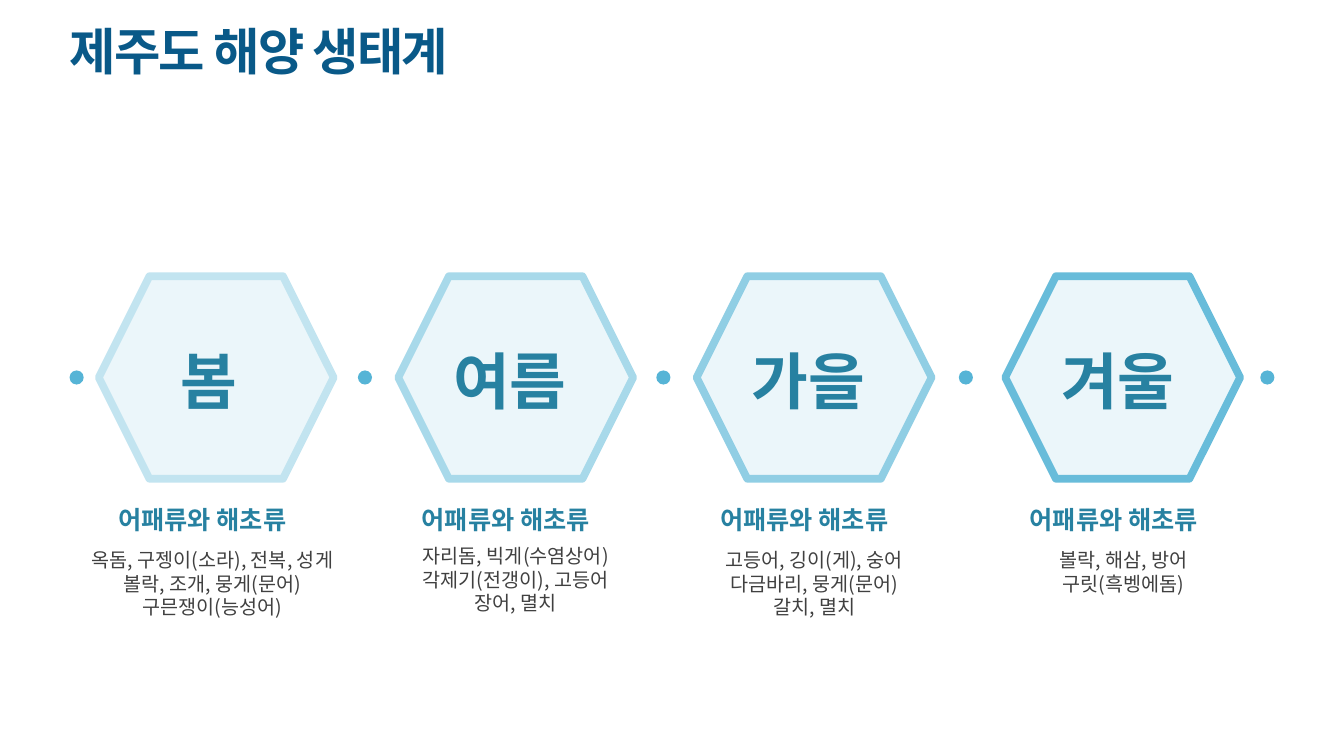
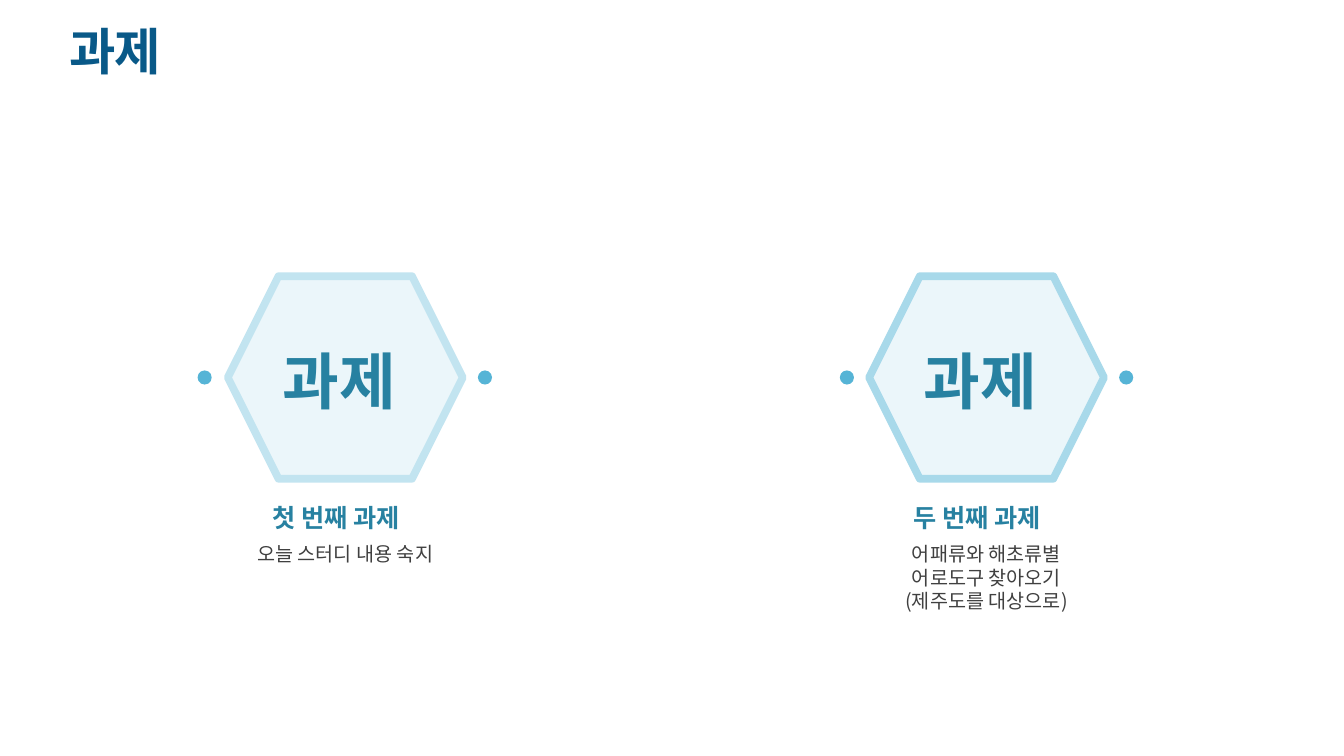
from pptx import Presentation
from pptx.dml.color import RGBColor as RGB
from pptx.enum.shapes import MSO_SHAPE as SHAPE
from pptx.enum.text import MSO_ANCHOR as ANCHOR, PP_ALIGN as ALIGN
from pptx.oxml.ns import qn
from pptx.util import Inches, Pt

FONT = "Noto Sans CJK KR"
COLORS = {
    "background": "FFFFFF", "title": "095988", "accent": "2781A1",
    "body": "404040", "hexagon": "EBF6FA", "dot": "56B4D6",
    "ring1": "C2E4F0", "ring2": "A8D9EA", "ring3": "90CEE4", "ring4": "68BCDA",
}
FORMATS = {
    "title": {"size": Pt(36), "bold": True},
    "label": {"size": Pt(44), "bold": True},
    "heading": {"size": Pt(18), "bold": True},
    "body": {"size": Pt(14), "bold": False},
}
TEXT_COLORS = {"title": "title", "label": "accent",
               "heading": "accent", "body": "body"}

HEX_TOP, HEX_W, HEX_H = 2.74, 2.33, 2.01
DOT_SIZE = 0.14
LABEL_DY, LABEL_H = 0.61, 0.84
HEADING_H = 0.4
LINE_H, BOX_PAD = 0.235, 0.1


def color(name):
    return RGB.from_string(COLORS[name])


def add_text(s, box, lines, style, align=ALIGN.LEFT, anchor=ANCHOR.TOP):
    tf = s.shapes.add_textbox(*map(Inches, box)).text_frame
    tf.word_wrap = True
    tf.vertical_anchor = anchor
    for i, line in enumerate(lines):
        p = tf.paragraphs[0] if i == 0 else tf.add_paragraph()
        p.alignment = align
        r = p.add_run()
        r.text = line
        for key, value in FORMATS[style].items():
            setattr(r.font, key, value)
        r.font.color.rgb = color(TEXT_COLORS[style])
        r.font.name = FONT
        ea = r.font._element.makeelement(qn("a:ea"), {"typeface": FONT})
        r.font._element.append(ea)
    return tf


def add_figure(s, kind, box, fill, ring=None):
    sp = s.shapes.add_shape(kind, *map(Inches, box))
    sp.shadow.inherit = False
    sp.fill.solid()
    sp.fill.fore_color.rgb = color(fill)
    if ring:
        sp.line.color.rgb = color(ring)
        sp.line.width = Pt(5.5)
    else:
        sp.line.fill.background()


def add_title(s, text):
    tf = add_text(s, (0.59, 0.13, 10.36, 0.82), [text], "title",
                  anchor=ANCHOR.MIDDLE)
    p = tf.paragraphs[0]
    p.line_spacing = 0.9
    p.runs[0].font._element.set("spc", "-120")


def add_dots(s, lefts):
    top = HEX_TOP + (HEX_H - DOT_SIZE) / 2
    for left in lefts:
        add_figure(s, SHAPE.OVAL, (left, top, DOT_SIZE, DOT_SIZE), "dot")


def add_card(s, left, ring, card):
    """Hexagon with its label inside and its texts centred below."""
    add_figure(s, SHAPE.HEXAGON, (left, HEX_TOP, HEX_W, HEX_H), "hexagon", ring)
    center = left + HEX_W / 2 + card.get("shift", 0)

    def centered(width, top, height):
        return center - width / 2, top, width, height

    add_text(s, centered(card["label_w"], HEX_TOP + LABEL_DY, LABEL_H),
             [card["label"]], "label")
    add_text(s, centered(card["heading_w"], card["heading_y"], HEADING_H),
             [card["heading"]], "heading")
    lines = card["lines"]
    add_text(s, centered(card["body_w"], card["body_y"],
                         BOX_PAD + LINE_H * len(lines)),
             lines, "body", ALIGN.CENTER)


def add_card_slide(prs, title, lefts, dots, shared, cards):
    s = prs.slides.add_slide(prs.slide_layouts[6])
    s.background.fill.solid()
    s.background.fill.fore_color.rgb = color("background")
    add_title(s, title)
    add_dots(s, dots)
    for i, (left, card) in enumerate(zip(lefts, cards), 1):
        add_card(s, left, f"ring{i}", {**shared, **card})


# Seasons and their catch
SEASON = {"heading": "어패류와 해초류", "heading_w": 2.06, "heading_y": 4.95,
          "label_w": 1.44, "body_y": 5.39}
SEASONS = [
    {"label": "봄", "label_w": 0.82, "shift": -0.04, "body_w": 2.82,
     "lines": ["옥돔, 구젱이(소라), 전복, 성게", "볼락, 조개, 뭉게(문어)",
               "구믄쟁이(능성어)"]},
    {"label": "여름", "body_w": 2.2, "body_y": 5.35,
     "lines": ["자리돔, 빅게(수염상어)", "각제기(전갱이), 고등어", "장어, 멸치"]},
    {"label": "가을", "body_w": 2.12,
     "lines": ["고등어, 깅이(게), 숭어", "다금바리, 뭉게(문어)", "갈치, 멸치"]},
    {"label": "겨울", "shift": 0.01, "body_w": 1.6,
     "lines": ["볼락, 해삼, 방어", "구릿(흑벵에돔)"]},
]

# Assignments
TASK = {"label": "과제", "label_w": 1.44, "heading_w": 1.64,
        "heading_y": 4.93, "body_y": 5.33}
TASKS = [
    {"heading": "첫 번째 과제", "body_w": 2.17, "lines": ["오늘 스터디 내용 숙지"]},
    {"heading": "두 번째 과제", "body_w": 1.96,
     "lines": ["어패류와 해초류별", "어로도구 찾아오기", "(제주도를 대상으로)"]},
]


def main():
    prs = Presentation()
    prs.slide_width, prs.slide_height = Inches(13.33), Inches(7.5)
    add_card_slide(prs, "제주도 해양 생태계", [0.98, 3.95, 6.91, 9.97],
                   [0.69, 3.55, 6.51, 9.51, 12.5], SEASON, SEASONS)
    add_card_slide(prs, "과제", [2.26, 8.62], [1.96, 4.74, 8.33, 11.1],
                   TASK, TASKS)
    prs.save("out.pptx")


if __name__ == "__main__":
    main()
